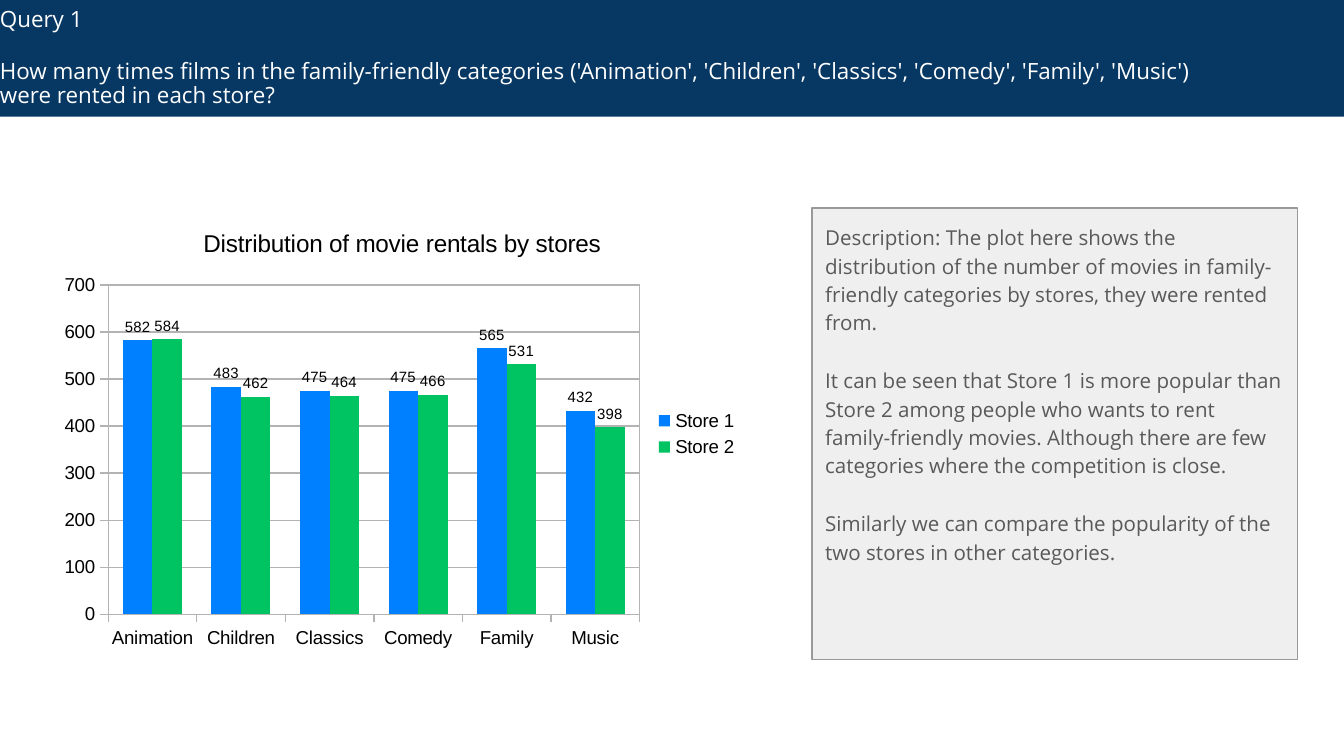
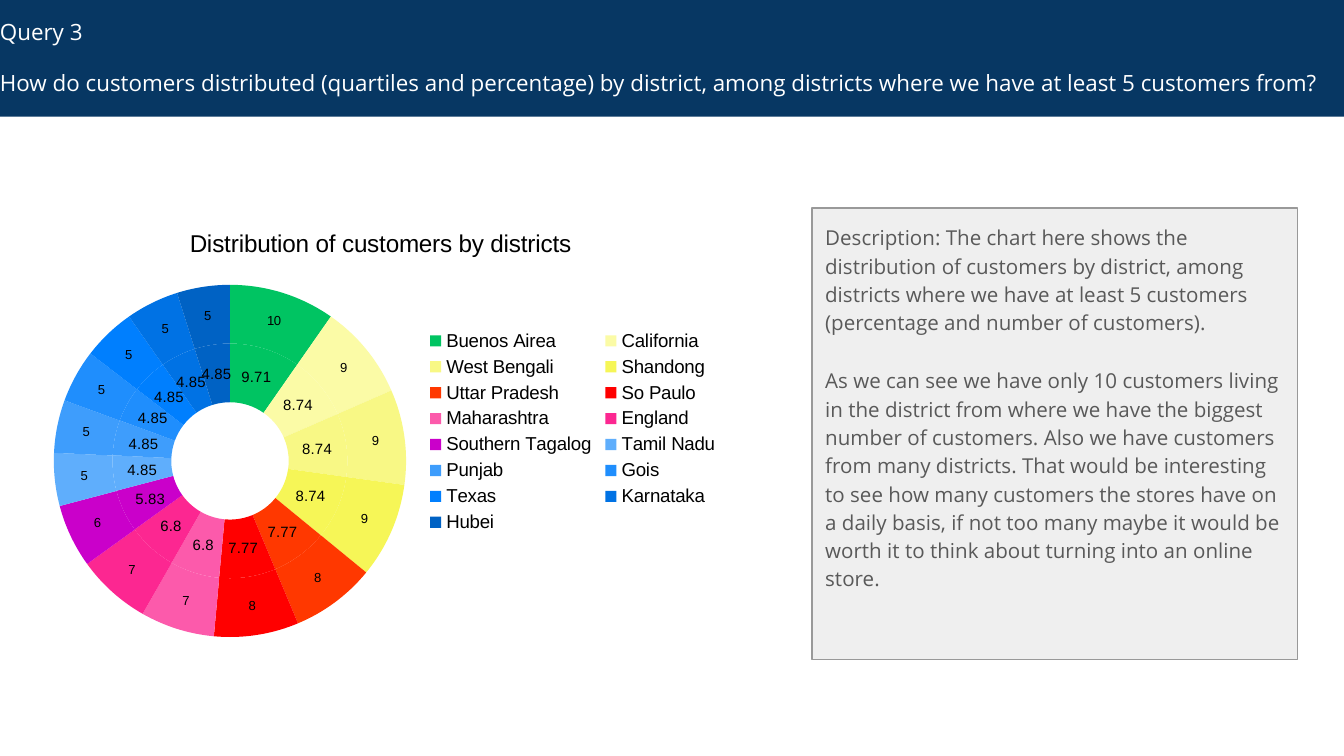
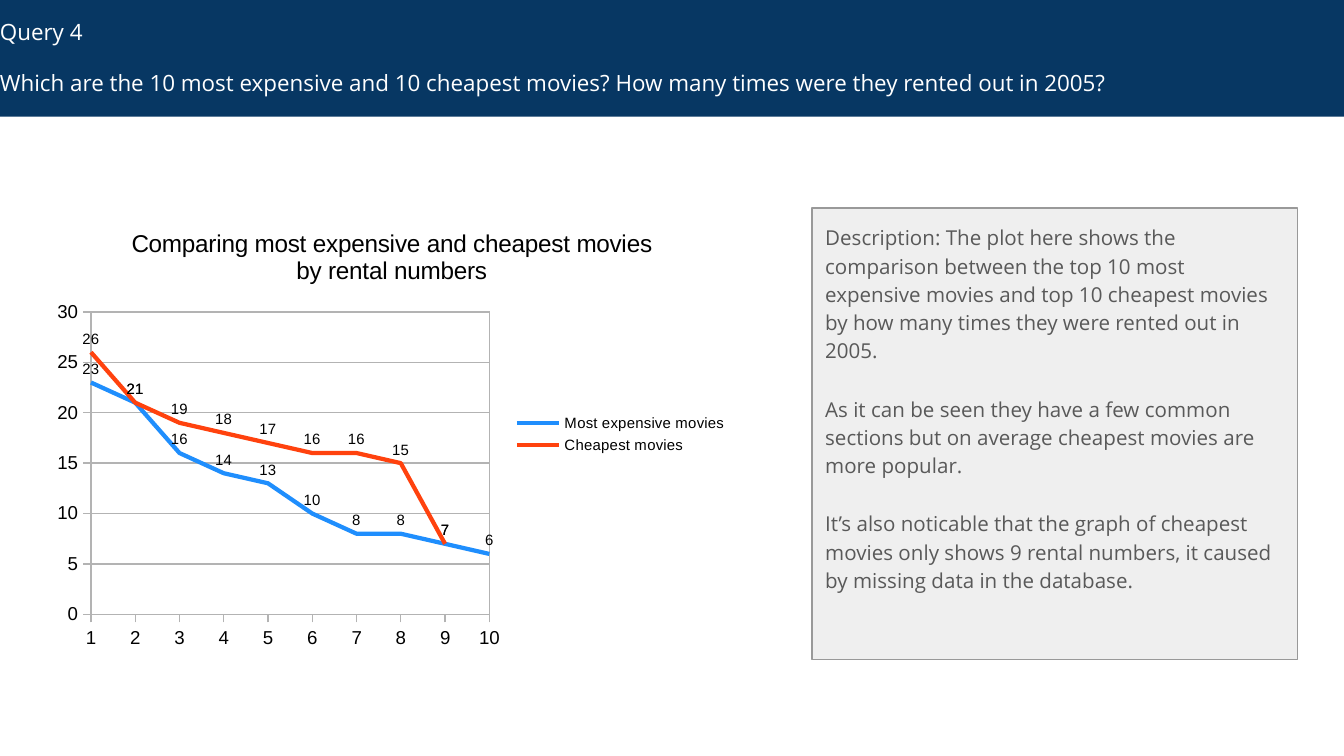
from lxml.etree import SubElement
from pptx import Presentation
from pptx.chart.data import CategoryChartData as Data
from pptx.dml.color import RGBColor
from pptx.enum.chart import XL_CHART_TYPE as Kind, XL_LABEL_POSITION as Spot
from pptx.enum.chart import XL_LEGEND_POSITION as Side, XL_TICK_MARK as Tick
from pptx.enum.shapes import MSO_SHAPE as Shape
from pptx.enum.text import MSO_ANCHOR as Anchor, PP_ALIGN as Align
from pptx.oxml import parse_xml
from pptx.oxml.ns import nsdecls, qn
from pptx.util import Pt

NAVY = RGBColor(0x07, 0x37, 0x63)
WHITE = RGBColor(0xFF, 0xFF, 0xFF)
BLACK = RGBColor(0, 0, 0)
PALE = RGBColor(0xEF, 0xEF, 0xEF)
EDGE = RGBColor(0x99, 0x99, 0x99)
TEXT = RGBColor(0x59, 0x59, 0x59)
GRID = RGBColor(0xB3, 0xB3, 0xB3)
BLUE = RGBColor(0x00, 0x7F, 0xFE)
GREEN = RGBColor(0x00, 0xC4, 0x62)
SKY = RGBColor(0x1F, 0x8E, 0xFD)
ORANGE = RGBColor(0xFF, 0x42, 0x0E)
WHEEL = [GREEN] + [RGBColor.from_string(code) for code in (
    "FBFBA6 F8F885 F6F657 FF3800 FF0000 FC5AAB FC2791 CA00CA "
    "5FAEFC 3E9DFC 1F8EFD 007FFE 0072E4 0062C4").split()]

BODY, PLOT = "Open Sans", "Arial"
WIDE, HIGH = 720, 405
BAND = (0, 0, WIDE, 62.5)
PANEL = (435, 111.5, 260, 242)

STORES = ["Animation", "Children", "Classics", "Comedy", "Family", "Music"]
AREAS = ["Buenos Airea", "California", "West Bengali", "Shandong",
         "Uttar Pradesh", "So Paulo", "Maharashtra", "England",
         "Southern Tagalog", "Tamil Nadu", "Punjab", "Gois", "Texas",
         "Karnataka", "Hubei"]
SHARES = [9.71] + [8.74] * 3 + [7.77] * 2 + [6.8] * 2 + [5.83] + [4.85] * 6
COUNTS = [10] + [9] * 3 + [8] * 2 + [7] * 2 + [6] + [5] * 6


def style(font, name, size, color):
    font.name, font.size, font.bold = name, Pt(size), False
    font.color.rgb = color


def fill(part, color):
    part.fill.solid()
    part.fill.fore_color.rgb = color


def find(chart, tag):
    return chart.element.find(".//" + qn(tag))


def block(slide, box, color, paras, size, ink, pads):
    """Draw a filled rectangle with left-aligned paragraphs."""
    shape = slide.shapes.add_shape(Shape.RECTANGLE, *map(Pt, box))
    shape.shadow.inherit = False
    fill(shape, color)
    frame = shape.text_frame
    frame.word_wrap = True
    frame.margin_left = frame.margin_right = Pt(pads[0])
    frame.margin_top = frame.margin_bottom = Pt(pads[1])
    for i, text in enumerate(paras):
        para = frame.add_paragraph() if i else frame.paragraphs[0]
        para.text = text
        para.alignment = Align.LEFT
        for run in para.runs:
            style(run.font, BODY, size, ink)
    return shape


def header(slide, box, query, ask):
    band = block(slide, box, NAVY, [query, ask], 12, WHITE, (0, 7.2))
    band.line.fill.background()
    frame = band.text_frame
    frame.vertical_anchor = Anchor.MIDDLE
    for para in frame.paragraphs:
        para.line_spacing = 0.9
    frame.paragraphs[1].space_before = Pt(14.5)


def panel(slide, box, notes):
    card = block(slide, box, PALE, notes, 11, TEXT, (7.2, 7.2))
    card.line.color.rgb, card.line.width = EDGE, Pt(0.75)
    card.text_frame.vertical_anchor = Anchor.TOP
    for para in card.text_frame.paragraphs:
        para.line_spacing, para.space_after = 1.15, Pt(16)


def place(node, at, rank, inner=False):
    """Give a plot area or legend its place, as fractions of the chart."""
    for old in node.findall(qn("c:layout")):
        node.remove(old)
    layout = parse_xml(f"<c:layout {nsdecls('c')}><c:manualLayout/></c:layout>")
    vals = [("layoutTarget", "inner")] if inner else []
    vals += [("xMode", "edge"), ("yMode", "edge"), *zip("xywh", at)]
    for tag, val in vals:
        SubElement(layout[0], qn("c:" + tag)).set("val", str(val))
    node.insert(rank, layout)


def graph(slide, box, kind, title, cats, rows, area, key=10):
    """Add a chart with its title, legend and value labels."""
    data = Data()
    data.categories = cats
    for name, vals in rows:
        data.add_series(name, vals)
    chart = slide.shapes.add_chart(kind, *map(Pt, box), data).chart
    style(chart.font, PLOT, 10, BLACK)
    frame = chart.chart_title.text_frame
    frame.text = title
    style(frame.paragraphs[0].runs[0].font, PLOT, 13, BLACK)
    chart.chart_title.include_in_layout = False
    chart.has_legend = True
    chart.legend.position = Side.RIGHT
    chart.legend.include_in_layout = False
    style(chart.legend.font, PLOT, key, BLACK)
    place(find(chart, "c:plotArea"), area, 0, True)
    plot = chart.plots[0]
    plot.vary_by_categories = kind == Kind.DOUGHNUT
    for row in plot.series:
        labels = row.data_labels
        labels.show_value = True
        style(labels.font, PLOT, 8, BLACK)
    return chart


def axes(chart, top, step):
    """Style both axes, the grid and the frame of the plot."""
    val = chart.value_axis
    val.minimum_scale, val.maximum_scale, val.major_unit = 0, top, step
    val.has_major_gridlines = True
    for axis in (chart.category_axis, val):
        axis.major_tick_mark, axis.minor_tick_mark = Tick.OUTSIDE, Tick.NONE
        axis.format.line.color.rgb, axis.format.line.width = GRID, Pt(0)
        style(axis.tick_labels.font, PLOT, 10, BLACK)
    grid = val.major_gridlines.format.line
    grid.color.rgb, grid.width = GRID, Pt(0)
    find(chart, "c:plotArea").append(parse_xml(
        f'<c:spPr {nsdecls("c", "a")}><a:noFill/><a:ln w="0"><a:solidFill>'
        f'<a:srgbClr val="{GRID}"/></a:solidFill></a:ln></c:spPr>'))


def bars(slide, box):
    chart = graph(slide, box, Kind.COLUMN_CLUSTERED,
                  "Distribution of movie rentals by stores", STORES,
                  [("Store 1", [582, 483, 475, 475, 565, 432]),
                   ("Store 2", [584, 462, 464, 466, 531, 398])],
                  (0.08, 0.17, 0.76, 0.73))
    axes(chart, 700, 100)
    plot = chart.plots[0]
    plot.gap_width, plot.overlap = 100, 0
    for row, color in zip(plot.series, (BLUE, GREEN)):
        fill(row.format, color)
        row.data_labels.position = Spot.OUTSIDE_END


def rings(slide, box):
    chart = graph(slide, box, Kind.DOUGHNUT,
                  "Distribution of customers by districts", AREAS,
                  [("Series 1", SHARES), ("Series 2", COUNTS)],
                  (0.03, 0.17, 0.51, 0.78))
    place(find(chart, "c:legend"), (0.56, 0.26, 0.43, 0.47), 1)
    for row, size in zip(chart.plots[0].series, (8, 7)):
        row.data_labels.font.size = Pt(size)
        for i, color in enumerate(WHEEL):
            fill(row.points[i].format, color)


def lines(slide, box):
    chart = graph(slide, box, Kind.LINE,
                  "Comparing most expensive and cheapest movies "
                  "by rental numbers", [str(n) for n in range(1, 11)],
                  [("Most expensive movies",
                    [23, 21, 16, 14, 13, 10, 8, 8, 7, 6]),
                   ("Cheapest movies",
                    [26, 21, 19, 18, 17, 16, 16, 15, 7, None])],
                  (0.07, 0.23, 0.57, 0.67), 8)
    axes(chart, 30, 5)
    # The lines start on the value axis.
    find(chart, "c:majorUnit").addprevious(
        parse_xml(f'<c:crossBetween {nsdecls("c")} val="midCat"/>'))
    for row, color in zip(chart.plots[0].series, (SKY, ORANGE)):
        row.smooth = False
        row.format.line.color.rgb, row.format.line.width = color, Pt(2.27)
        row.data_labels.position = Spot.ABOVE


PAGES = [
    ("Query 1",
     "How many times films in the family-friendly categories ('Animation', "
     "'Children', 'Classics', 'Comedy', 'Family', 'Music')\v"
     "were rented in each store?",
     bars, 28,
     ["Description: The plot here shows the distribution of the number of "
      "movies in family-friendly categories by stores, they were rented "
      "from.",
      "It can be seen that Store 1 is more popular than Store 2 among people "
      "who wants to rent family-friendly movies. Although there are few "
      "categories where the competition is close.",
      "Similarly we can compare the popularity of the two stores in other "
      "categories."]),
    ("Query 3",
     "How do customers distributed (quartiles and percentage) by district, "
     "among districts where we have at least 5 customers from?",
     rings, 16.5,
     ["Description: The chart here shows the distribution of customers by "
      "district, among districts where we have at least 5 customers "
      "(percentage and number of customers).",
      "As we can see we have only 10 customers living in the district from "
      "where we have the biggest number of customers. Also we have customers "
      "from many districts. That would be interesting to see how many "
      "customers the stores have on a daily basis, if not too many maybe it "
      "would be worth it to think about turning into an online store."]),
    ("Query 4",
     "Which are the 10 most expensive and 10 cheapest movies? How many times "
     "were they rented out in 2005?",
     lines, 22.5,
     ["Description: The plot here shows the comparison between the top 10 "
      "most expensive movies and top 10 cheapest movies by how many times "
      "they were rented out in 2005.",
      "As it can be seen they have a few common sections but on average "
      "cheapest movies are more popular.",
      "It’s also noticable that the graph of cheapest movies only shows 9 "
      "rental numbers, it caused by missing data in the database."]),
]


def main():
    deck = Presentation()
    deck.slide_width, deck.slide_height = Pt(WIDE), Pt(HIGH)
    for query, ask, draw, left, notes in PAGES:
        slide = deck.slides.add_slide(deck.slide_layouts[6])
        header(slide, BAND, query, ask)
        draw(slide, (left, PANEL[1], 374.5, PANEL[3]))
        panel(slide, PANEL, notes)
    deck.save("out.pptx")


if __name__ == "__main__":
    main()
